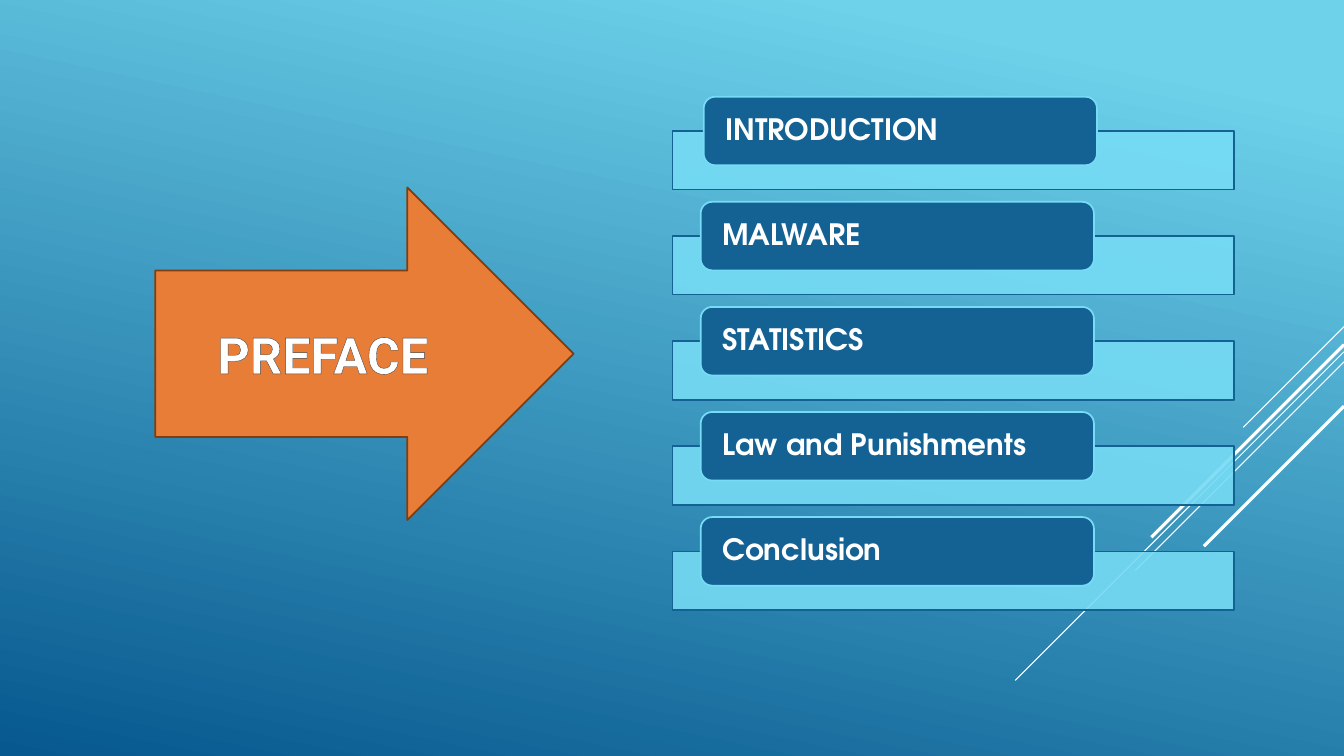
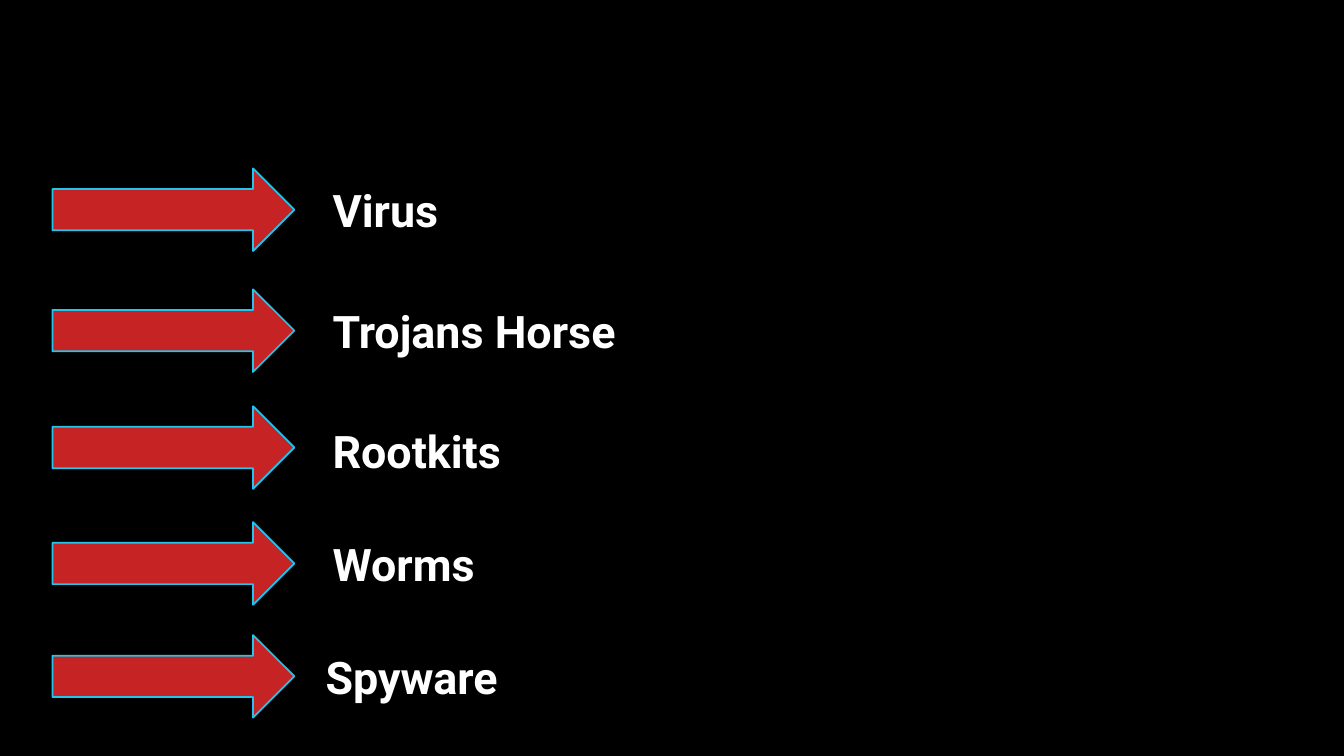
from dataclasses import dataclass
from typing import Any

from lxml import etree
from pptx import Presentation
from pptx.dml.color import RGBColor
from pptx.enum.shapes import MSO_CONNECTOR, MSO_SHAPE
from pptx.enum.text import MSO_ANCHOR, PP_ALIGN
from pptx.oxml.ns import qn
from pptx.util import Inches, Pt

RECT = MSO_SHAPE.RECTANGLE
ROUND = MSO_SHAPE.ROUNDED_RECTANGLE
ARROW = MSO_SHAPE.RIGHT_ARROW
STRAIGHT = MSO_CONNECTOR.STRAIGHT
MIDDLE = MSO_ANCHOR.MIDDLE
TOP = MSO_ANCHOR.TOP
LEFT = PP_ALIGN.LEFT
CENTER = PP_ALIGN.CENTER

WHITE = RGBColor(0xFF, 0xFF, 0xFF)
BLACK = RGBColor(0x00, 0x00, 0x00)
SKY = RGBColor(0x6E, 0xD2, 0xEB)
DEEP = RGBColor(0x06, 0x58, 0x8E)
AQUA = RGBColor(0x76, 0xDB, 0xF4)
NAVY = RGBColor(0x14, 0x61, 0x94)
ORANGE = RGBColor(0xE8, 0x7D, 0x37)
BROWN = RGBColor(0x81, 0x3C, 0x0F)
RED = RGBColor(0xC6, 0x23, 0x24)
CYAN = RGBColor(0x22, 0xC5, 0xED)
GREY = RGBColor(0x40, 0x40, 0x40)

WIDTH, HEIGHT = 13.33, 7.5
EDGE = 1.25


@dataclass(frozen=True)
class Box:
    x: float
    y: float
    w: float
    h: float


@dataclass(frozen=True)
class Ray:
    y: float
    span: float
    weight: float


@dataclass(frozen=True)
class Look:
    kind: Any
    fill: RGBColor
    line: RGBColor


@dataclass(frozen=True)
class Topic:
    text: str
    x: float


@dataclass(frozen=True)
class Threat:
    text: str
    y: float
    x: float = 3.2
    drop: float = 0.09


BAR = Look(RECT, AQUA, NAVY)
TAB = Look(ROUND, NAVY, AQUA)
BIG = Look(ARROW, ORANGE, BROWN)
MARK = Look(ARROW, RED, CYAN)

TAB_FONT = {"name": "TeX Gyre Adventor", "size": Pt(21), "bold": True}
BIG_FONT = {"name": "Roboto", "size": Pt(36), "bold": True}
ITEM_FONT = {"name": "Roboto", "size": Pt(32), "bold": True}

TAB_FRAME = {
    "vertical_anchor": MIDDLE, "word_wrap": True,
    "margin_left": Inches(0.18), "margin_right": Inches(0.18),
    "margin_top": Inches(0.03), "margin_bottom": Inches(0.03),
}
BIG_FRAME = {"vertical_anchor": MIDDLE, "word_wrap": True}
ITEM_FRAME = {"vertical_anchor": TOP, "word_wrap": True}

RAYS = [
    Ray(3.24, 1, 0.75),
    Ray(3.49, 3.26, 0.75),
    Ray(3.59, 2.07, 0.75),
    Ray(3.42, 1.91, 2.25),
    Ray(4.03, 1.39, 2.25),
]
TOPICS = [
    Topic("INTRODUCTION", 6.98),
    Topic("MALWARE", 6.95),
    Topic("STATISTICS", 6.95),
    Topic("Law and Punishments", 6.95),
    Topic("Conclusion", 6.95),
]
THREATS = [
    Threat("Virus", 1.67),
    Threat("Trojans Horse", 2.87),
    Threat("Rootkits", 4.03, drop=0.12),
    Threat("Worms", 5.18, drop=0.1),
    Threat("Spyware", 6.3, x=3.13, drop=0.1),
]


def apply(target: Any, style: dict[str, Any]) -> None:
    for key, value in style.items():
        setattr(target, key, value)


def place(box: Box) -> list[int]:
    return [Inches(n) for n in (box.x, box.y, box.w, box.h)]


def draw(slide: Any, look: Look, box: Box) -> Any:
    shape = slide.shapes.add_shape(look.kind, *place(box))
    shape.shadow.inherit = False
    shape.fill.solid()
    shape.fill.fore_color.rgb = look.fill
    shape.line.color.rgb = look.line
    shape.line.width = Pt(EDGE)
    return shape


def write(shape: Any, text: str, font: dict[str, Any],
          frame: dict[str, Any], align: Any = LEFT) -> Any:
    apply(shape.text_frame, frame)
    para = shape.text_frame.paragraphs[0]
    para.alignment = align
    run = para.add_run()
    run.text = text
    apply(run.font, font)
    run.font.color.rgb = WHITE
    return run


def fade(shape: Any, percent: int) -> None:
    color = shape.fill._xPr.find(qn("a:solidFill"))[0]
    etree.SubElement(color, qn("a:alpha")).set("val", str(percent * 1000))


def outline(run: Any, color: RGBColor, weight: float) -> None:
    line = etree.Element(qn("a:ln"), w=str(Pt(weight)))
    fill = etree.SubElement(line, qn("a:solidFill"))
    etree.SubElement(fill, qn("a:srgbClr")).set("val", str(color))
    run._r.get_or_add_rPr().insert(0, line)


def streak(slide: Any, ray: Ray) -> None:
    line = slide.shapes.add_connector(
        STRAIGHT, Inches(WIDTH), Inches(ray.y),
        Inches(WIDTH - ray.span), Inches(ray.y + ray.span))
    line.line.color.rgb = WHITE
    line.line.width = Pt(ray.weight)
    etree.SubElement(line._element.spPr, qn("a:effectLst"))


def preface(slide: Any) -> None:
    back = slide.background.fill
    back.gradient()
    back.gradient_angle = 258
    for stop, color, spot in zip(back.gradient_stops, (SKY, DEEP), (0.1, 1)):
        stop.color.rgb = color
        stop.position = spot
    for ray in RAYS:
        streak(slide, ray)
    for i, topic in enumerate(TOPICS):
        top = 0.96 + i * 1.0425
        fade(draw(slide, BAR, Box(6.67, top + 0.34, 5.57, 0.58)), 90)
        tab = draw(slide, TAB, Box(topic.x, top, 3.9, 0.68))
        write(tab, topic.text, TAB_FONT, TAB_FRAME)
        tab.text_frame.paragraphs[0].line_spacing = 0.9
    arrow = draw(slide, BIG, Box(1.54, 1.86, 4.15, 3.3))
    title = write(arrow, "PREFACE", BIG_FONT, BIG_FRAME, CENTER)
    outline(title, GREY, 0.75)


def malware(slide: Any) -> None:
    slide.background.fill.solid()
    slide.background.fill.fore_color.rgb = BLACK
    for item in THREATS:
        draw(slide, MARK, Box(0.52, item.y, 2.4, 0.82))
        box = Box(item.x, item.y + item.drop, 4.12, 0.64)
        label = slide.shapes.add_textbox(*place(box))
        write(label, item.text, ITEM_FONT, ITEM_FRAME)


def main() -> None:
    deck = Presentation()
    deck.slide_width = Inches(WIDTH)
    deck.slide_height = Inches(HEIGHT)
    for build in (preface, malware):
        build(deck.slides.add_slide(deck.slide_layouts[6]))
    deck.save("out.pptx")


if __name__ == "__main__":
    main()
